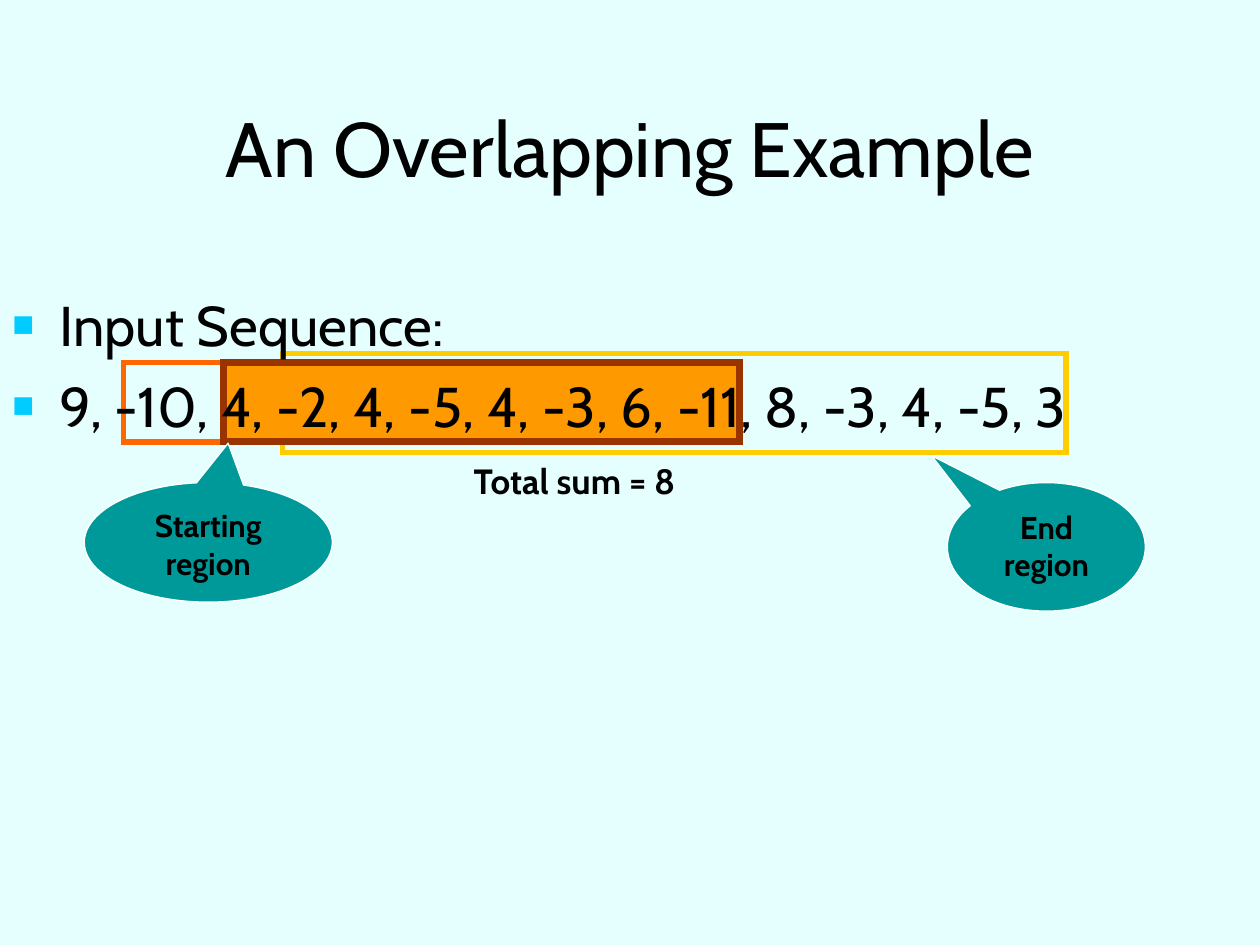
"""Build the slide "An Overlapping Example" with its marked sequence regions."""
from lxml.etree import SubElement
from pptx import Presentation
from pptx.dml.color import RGBColor
from pptx.enum.shapes import MSO_SHAPE as Shape
from pptx.enum.text import MSO_ANCHOR as Anchor, PP_ALIGN as Align
from pptx.oxml.ns import qn
from pptx.util import Cm, Pt

COLORS = {
    "background": "E5FFFF", "text": "000000", "white": "FFFFFF", "bullet": "00CCFF",
    "start": "FF6600", "end": "FFCC00", "overlap": "FF9900", "overlap_edge": "993300",
    "callout": "009999",
}


def rgb(name):
    return RGBColor.from_string(COLORS[name])


def write(shape, text, size, bold=False, align=Align.LEFT, anchor=Anchor.TOP,
          bullet=None, gap=0):
    frame = shape.text_frame
    frame.word_wrap = True
    frame.vertical_anchor = anchor
    frame.text = text
    for index, paragraph in enumerate(frame.paragraphs):
        paragraph.alignment = align
        paragraph.space_before = Pt(gap if index else 0)
        if bullet:
            properties = paragraph._p.get_or_add_pPr()
            properties.set("marL", str(Cm(0.95)))
            properties.set("indent", str(-Cm(0.95)))
            bullet_color = SubElement(properties, qn("a:buClr"))
            SubElement(bullet_color, qn("a:srgbClr"), val=COLORS["bullet"])
            SubElement(properties, qn("a:buSzPct"), val="65000")
            SubElement(properties, qn("a:buFont"), typeface="Arial")
            SubElement(properties, qn("a:buChar"), char=bullet)
        paragraph.font.size = Pt(size)
        paragraph.font.name = "Cabin"
        paragraph.font.bold = bold
        paragraph.font.color.rgb = rgb("text")


deck = Presentation()
deck.slide_width, deck.slide_height = Cm(25.4), Cm(19.05)
slide = deck.slides.add_slide(deck.slide_layouts[5])
slide.background.fill.solid()
slide.background.fill.fore_color.rgb = rgb("background")
shapes = slide.shapes

title = shapes.title
title.left, title.top, title.width, title.height = Cm(1.27), Cm(1.05), Cm(22.86), Cm(3.81)
write(title, "An Overlapping Example", size=44, align=Align.CENTER, anchor=Anchor.MIDDLE)

regions = [
    ((2.49, 7.31, 10.8, 1.6), None, "start", 3),
    ((5.69, 7.12, 15.8, 2.01), None, "end", 3),
    ((4.5, 7.31, 10.41, 1.6), "overlap", "overlap_edge", 4),
]
for place, fill, edge, weight in regions:
    region = shapes.add_shape(Shape.RECTANGLE, *map(Cm, place))
    region.shadow.inherit = False
    if fill:
        region.fill.solid()
        region.fill.fore_color.rgb = rgb(fill)
    else:
        region.fill.background()
    region.line.color.rgb = rgb(edge)
    region.line.width = Pt(weight)
    SubElement(region.line._get_or_add_ln(), qn("a:miter"), lim="800000")

sequence = shapes.add_textbox(Cm(0), Cm(5.73), Cm(24.71), Cm(7.8))
write(sequence, "Input Sequence:\n9, -10, 4, -2, 4, -5, 4, -3, 6, -11, 8, -3, 4, -5, 3",
      size=32, bullet="■", gap=8)

total = shapes.add_textbox(Cm(9.3), Cm(9.13), Cm(6.81), Cm(1.12))
write(total, "Total sum = 8", size=20, bold=True)

callouts = [
    ("Starting region", (1.7, 9.73, 5, 2.41), (0.08, -0.83)),
    ("End region", (19.1, 9.73, 3.99, 2.59), (-0.58, -0.71)),
]
for label, place, tip in callouts:
    callout = shapes.add_shape(Shape.OVAL_CALLOUT, *map(Cm, place))
    callout.shadow.inherit = False
    callout.adjustments[0], callout.adjustments[1] = tip
    callout.fill.solid()
    callout.fill.fore_color.rgb = rgb("callout")
    callout.line.color.rgb = rgb("white")
    callout.line.width = Pt(0.75)
    write(callout, label, size=18, bold=True, align=Align.CENTER)

deck.save("out.pptx")
